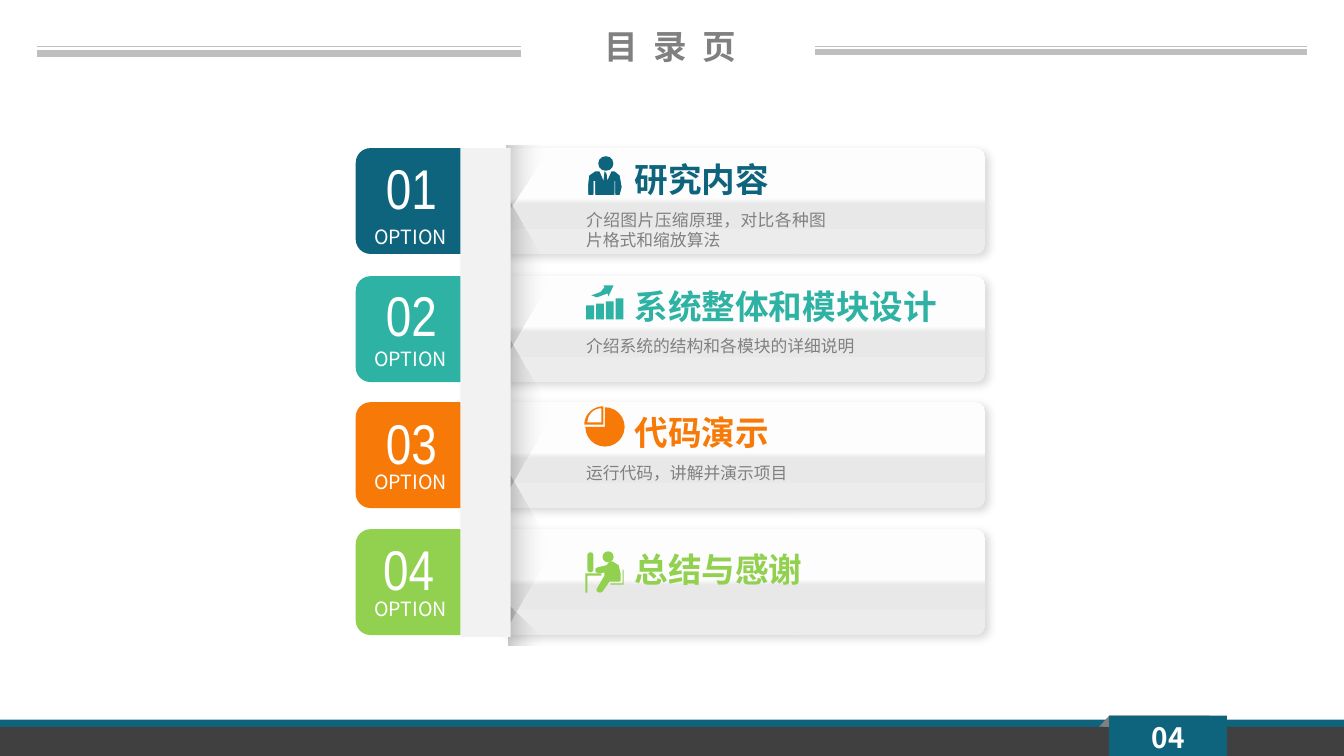
from dataclasses import dataclass
from math import cos, pi, sin
from typing import NamedTuple

from lxml.etree import SubElement
from pptx import Presentation
from pptx.dml.color import RGBColor
from pptx.enum.shapes import MSO_CONNECTOR, MSO_SHAPE
from pptx.enum.text import MSO_ANCHOR, PP_ALIGN
from pptx.oxml.ns import qn
from pptx.shapes.autoshape import Shape
from pptx.slide import Slide
from pptx.util import Pt

SANS, NARROW = "Noto Sans CJK SC", "Arial Narrow"
COLORS = {
    "blue": "0E647C", "teal": "2DB2A4", "orange": "F77A08", "green": "92D050",
    "dark": "404040", "gray": "808080", "rule": "BFBFBF", "spine": "F2F2F2",
    "white": "FFFFFF", "black": "000000",
    "card_top": "FDFDFD", "card_fold": "E8E8E8", "card_base": "ECECEC",
}
Points = list[tuple[float, float]]


class Box(NamedTuple):
    left: float
    top: float
    width: float
    height: float


class Block(NamedTuple):
    preset: MSO_SHAPE
    box: Box
    adjustments: tuple[float, ...] = ()


class Stop(NamedTuple):
    position: int
    color: str
    alpha: int = 100


@dataclass(frozen=True)
class Icon:
    top: float
    blocks: list[Block]
    outlines: list[list[Points]]
    offsets: tuple[float, ...] = (0,)


@dataclass(frozen=True)
class Option:
    number: str
    color: str
    title: str
    note: str
    top: float
    number_box: Box
    label_top: float
    title_box: Box
    note_box: Box
    icon: Icon


@dataclass(frozen=True)
class TextStyle:
    size: float
    color: str
    font: str = SANS
    bold: bool = False
    align: PP_ALIGN = PP_ALIGN.CENTER
    anchor: MSO_ANCHOR = MSO_ANCHOR.TOP
    spacing: float = 0


def quarter(center_x: float, center_y: float, radius_x: float, radius_y: float) -> Points:
    angles = [pi + pi / 2 * step / 12 for step in range(13)]
    return [(center_x, center_y)] + [
        (center_x + radius_x * cos(angle), center_y + radius_y * sin(angle)) for angle in angles]


ICON_LEFT = 417.6
PERSON = Icon(111.6, [Block(MSO_SHAPE.OVAL, Box(10.1, 0, 10.6, 9.4))], [[[
    (25.2, 13.7), (21.6, 10.8), (19.4, 10.8), (17.3, 15.8), (14.4, 21.6), (16.6, 18), (15.8, 12.2),
    (14.4, 10.8), (14.4, 12.2), (13.7, 18), (13, 15.8), (10.8, 10.8), (7.9, 10.8), (3.6, 13.7),
    (2.9, 20), (2.9, 26.6), (6.5, 26.6), (6.5, 16.6), (7.9, 16.6), (7.9, 26.6), (21.6, 26.6),
    (21.6, 16.6), (22.3, 16.6), (22.3, 26.6), (25.2, 26.6), (26.6, 21.6)]]], (0, 1))
GROWTH = Icon(203.8, [
    Block(MSO_SHAPE.RECTANGLE, Box(1.4 + 7 * index, bar_top, 5.6, 24.3 - bar_top))
    for index, bar_top in enumerate((14.4, 13, 11.5, 9.4))], [[[
        (14.4, 1.4), (11.5, 4.8), (5, 7.2), (9, 8.6), (16.6, 5.8), (17.3, 7.9), (20.9, 0), (13.7, 0)]]])
PIE = Icon(290.2, [Block(MSO_SHAPE.PIE, Box(0.7, 0.7, 28.1, 28.1), (162, 108))],
           [[quarter(13.7, 13, 13.7, 13), quarter(12.2, 11.5, 10, 10.1)]])
DESK = Icon(393.8, [
    Block(MSO_SHAPE.ROUNDED_RECTANGLE, Box(2.2, 0.7, 4.3, 14.4), (0.5,)),
    Block(MSO_SHAPE.OVAL, Box(13, 0, 7.9, 7.9))], [
    [[(0.7, 29.5), (0.7, 15.8), (12.2, 15.8), (12.2, 17.3), (2.2, 17.3), (2.2, 29.5)]],
    [[(9.4, 25.9), (8.6, 27.5), (9.5, 29.2), (11.5, 29.5), (13, 28.8), (18, 21.6), (25.2, 21.6),
      (25.9, 20.9), (25.9, 15.8), (24.5, 10), (20.2, 7.2), (18, 7.4), (15.8, 10), (9.4, 11.5),
      (7.9, 12.5), (7.9, 14.4), (9.4, 15.8), (10.8, 15.8), (14.4, 15.1), (14.4, 17.3)]],
    [[(18.7, 23), (27.4, 23), (27.4, 13), (28.1, 13), (28.1, 23.8), (18.7, 23.8)]]])

OPTIONS = [
    Option("01", "blue", "研究内容", "介绍图片压缩原理，对比各种图片格式和缩放算法", 105.8,
           Box(253.4, 105.8, 81.4, 55.4), 157, Box(446.4, 110.2, 208, 36), Box(411.8, 146.2, 185.8, 36), PERSON),
    Option("02", "teal", "系统整体和模块设计", "介绍系统的结构和各模块的详细说明", 197.3,
           Box(253.4, 196.6, 81.4, 55.4), 244.1, Box(446.4, 200.9, 243.4, 36), Box(411.8, 236.2, 254.9, 21.6), GROWTH),
    Option("03", "orange", "代码演示", "运行代码，讲解并演示项目", 287.3,
           Box(253.4, 288, 81.4, 55.4), 331.9, Box(446.4, 290.9, 208, 36), Box(411.8, 326.9, 185.8, 21.6), PIE),
    Option("04", "green", "总结与感谢", "", 378,
           Box(251.3, 378, 81.4, 55.4), 422.6, Box(446.4, 388.8, 208, 36), Box(411.8, 424.8, 185.8, 21.6), DESK),
]
FOLD_STOPS = [Stop(0, "spine", 0), Stop(100, "black", 21)]
FOLD_ENDS: list[Points] = [
    [(389.5, 110.2), (362.2, 153.4), (362.2, 103.7), (389.5, 103.7)],
    [(390.2, 457.2), (363.6, 432), (363.6, 460.8), (390.2, 460.8)],
]


def rgb(color: str) -> RGBColor:
    return RGBColor.from_string(COLORS[color])


def paint(shape: Shape, color: str) -> None:
    shape.shadow.inherit = False
    shape.fill.solid()
    shape.fill.fore_color.rgb = rgb(color)
    shape.line.fill.background()


def paint_gradient(shape: Shape, stops: list[Stop], angle: float) -> None:
    shape.shadow.inherit = False
    shape.line.fill.background()
    shape.fill.gradient()
    shape.fill.gradient_angle = 360 - angle
    stop_list = shape._element.spPr.find(".//" + qn("a:gsLst"))
    for old_stop in list(stop_list):
        stop_list.remove(old_stop)
    for stop in stops:
        entry = SubElement(stop_list, qn("a:gs"), pos=str(stop.position * 1000))
        color = SubElement(entry, qn("a:srgbClr"), val=COLORS[stop.color])
        SubElement(color, qn("a:alpha"), val=str(stop.alpha * 1000))


def add_preset(slide: Slide, block: Block) -> Shape:
    shape = slide.shapes.add_shape(block.preset, *map(Pt, block.box))
    for index, value in enumerate(block.adjustments):
        shape.adjustments[index] = value
    return shape


def add_outline(slide: Slide, contours: list[Points], left: float = 0, top: float = 0) -> Shape:
    placed = [[(Pt(left + x), Pt(top + y)) for x, y in contour] for contour in contours]
    builder = slide.shapes.build_freeform(*placed[0][0])
    builder.add_line_segments(placed[0][1:], close=True)
    for contour in placed[1:]:
        builder.move_to(*contour[0])
        builder.add_line_segments(contour[1:], close=True)
    return builder.convert_to_shape()


def add_text(slide: Slide, text: str, box: Box, style: TextStyle) -> None:
    text_frame = slide.shapes.add_textbox(*map(Pt, box)).text_frame
    text_frame.word_wrap = True
    text_frame.vertical_anchor = style.anchor
    text_frame.text = text
    paragraph = text_frame.paragraphs[0]
    paragraph.alignment = style.align
    run = paragraph.runs[0]
    run.font.name, run.font.size, run.font.bold = style.font, Pt(style.size), style.bold
    run.font.color.rgb = rgb(style.color)
    properties = run._r.get_or_add_rPr()
    SubElement(properties, qn("a:ea"), typeface=style.font)
    if style.spacing:
        properties.set("spc", str(round(style.spacing * 100)))


def add_card(slide: Slide, top: float) -> None:
    card = add_preset(slide, Block(MSO_SHAPE.ROUNDED_RECTANGLE, Box(358.6, top, 345.6, 75.6), (0.092,)))
    paint_gradient(card, [Stop(47, "card_top"), Stop(53, "card_fold"), Stop(100, "card_base")], 90)
    effects = card._element.spPr.find(qn("a:effectLst"))
    shadow = SubElement(effects, qn("a:outerShdw"), blurRad=str(Pt(6)), dist=str(Pt(3)),
                        dir="2700000", algn="tl", rotWithShape="0")
    color = SubElement(shadow, qn("a:srgbClr"), val=COLORS["black"])
    SubElement(color, qn("a:alpha"), val="14000")


def add_folds(slide: Slide) -> None:
    for top in (182.9, 281.5, 378):
        fold = add_preset(slide, Block(MSO_SHAPE.TRAPEZOID, Box(321.8, top, 110.2, 27.4), (1.74,)))
        fold.rotation = 90
        paint_gradient(fold, FOLD_STOPS, 90)
    for points in FOLD_ENDS:
        paint_gradient(add_outline(slide, [points]), FOLD_STOPS, 180)


def add_icon(slide: Slide, icon: Icon, color: str) -> None:
    for offset in icon.offsets:
        top = icon.top + offset
        for block in icon.blocks:
            box = block.box._replace(left=ICON_LEFT + block.box.left, top=top + block.box.top)
            paint(add_preset(slide, block._replace(box=box)), color)
        for contours in icon.outlines:
            paint(add_outline(slide, contours, ICON_LEFT, top), color)


def add_option(slide: Slide, option: Option) -> None:
    tab = Block(MSO_SHAPE.ROUNDED_RECTANGLE, Box(254.2, option.top, 85, 75.6), (0.139,))
    paint(add_preset(slide, tab), option.color)
    add_text(slide, option.number, option.number_box, TextStyle(40, "white", NARROW))
    add_text(slide, "OPTION", Box(252.7, option.label_top, 81.4, 24.5), TextStyle(14, "white"))
    add_icon(slide, option.icon, option.color)
    add_text(slide, option.title, option.title_box,
             TextStyle(24, option.color, bold=True, align=PP_ALIGN.LEFT))
    if option.note:
        add_text(slide, option.note, option.note_box, TextStyle(12, "gray", align=PP_ALIGN.JUSTIFY))


def add_rule(slide: Slide, left: float, right: float, top: float, weight: float) -> None:
    rule = slide.shapes.add_connector(MSO_CONNECTOR.STRAIGHT, Pt(left), Pt(top), Pt(right), Pt(top))
    rule.line.color.rgb = rgb("rule")
    rule.line.width = Pt(weight)
    SubElement(rule._element.spPr, qn("a:effectLst"))


def add_bar(slide: Slide, box: Box, color: str) -> None:
    paint(add_preset(slide, Block(MSO_SHAPE.RECTANGLE, box)), color)


def add_footer(slide: Slide) -> None:
    add_bar(slide, Box(0, 514.1, 960.5, 28.1), "blue")
    add_bar(slide, Box(0, 519.1, 960.5, 23), "dark")
    paint(add_outline(slide, [[(792.7, 511.2), (864.7, 511.2), (865.4, 519.8), (785.5, 519.1)]]), "gray")
    add_bar(slide, Box(792.7, 511.2, 84.2, 31), "blue")
    add_text(slide, "04", Box(803.5, 511.2, 62.6, 31),
             TextStyle(20, "white", bold=True, anchor=MSO_ANCHOR.MIDDLE))


def main() -> None:
    """Build the contents slide and save it."""
    presentation = Presentation()
    presentation.slide_width, presentation.slide_height = Pt(960.5), Pt(540)
    slide = presentation.slides.add_slide(presentation.slide_layouts[6])
    add_footer(slide)
    for option in OPTIONS:
        add_card(slide, option.top)
    add_folds(slide)
    for option in OPTIONS:
        add_option(slide, option)
    add_bar(slide, Box(329, 105.8, 36, 349.2), "spine")
    add_text(slide, "目 录 页", Box(375.8, 15.1, 206.6, 36), TextStyle(24, "gray", bold=True, spacing=2.7))
    for left, right, thick_top in ((582.5, 933.8, 37.4), (26.6, 372.2, 38.2)):
        add_rule(slide, left, right, 33.1, 0.75)
        add_rule(slide, left, right, thick_top, 4.5)
    presentation.save("out.pptx")


if __name__ == "__main__":
    main()
